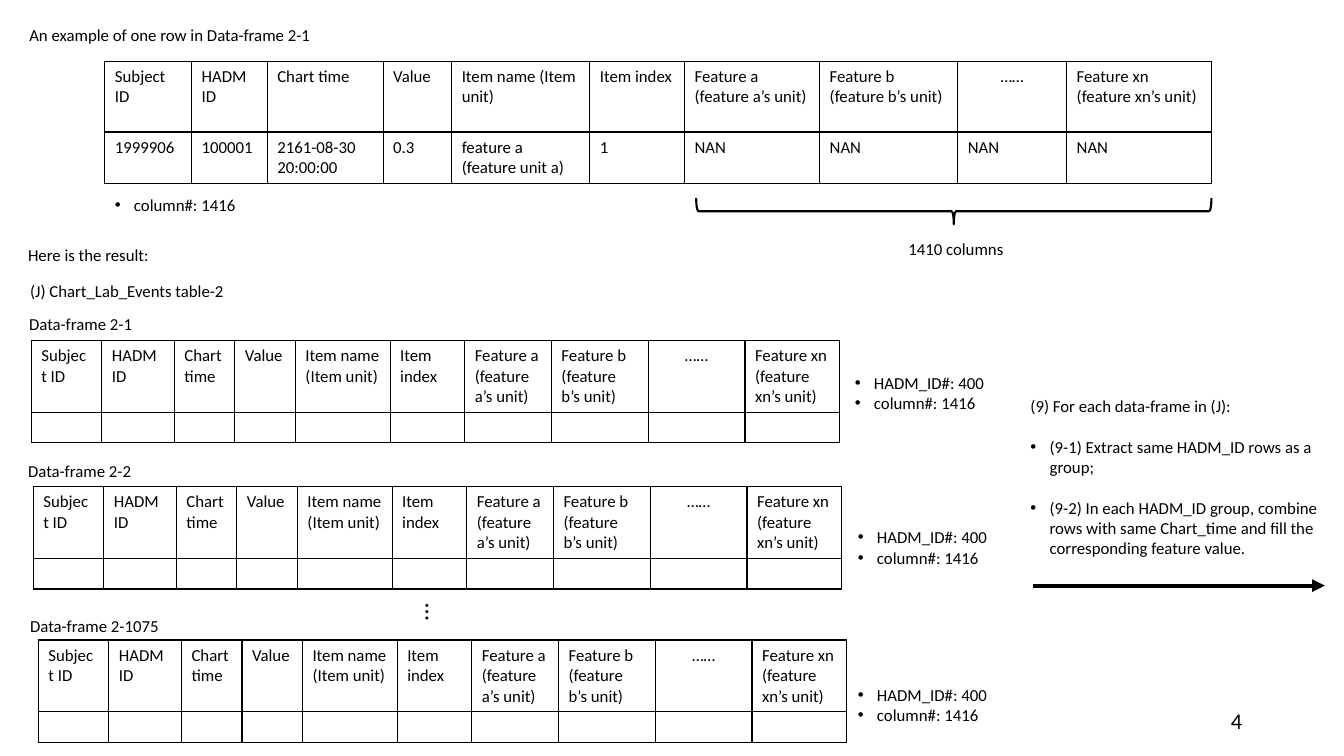
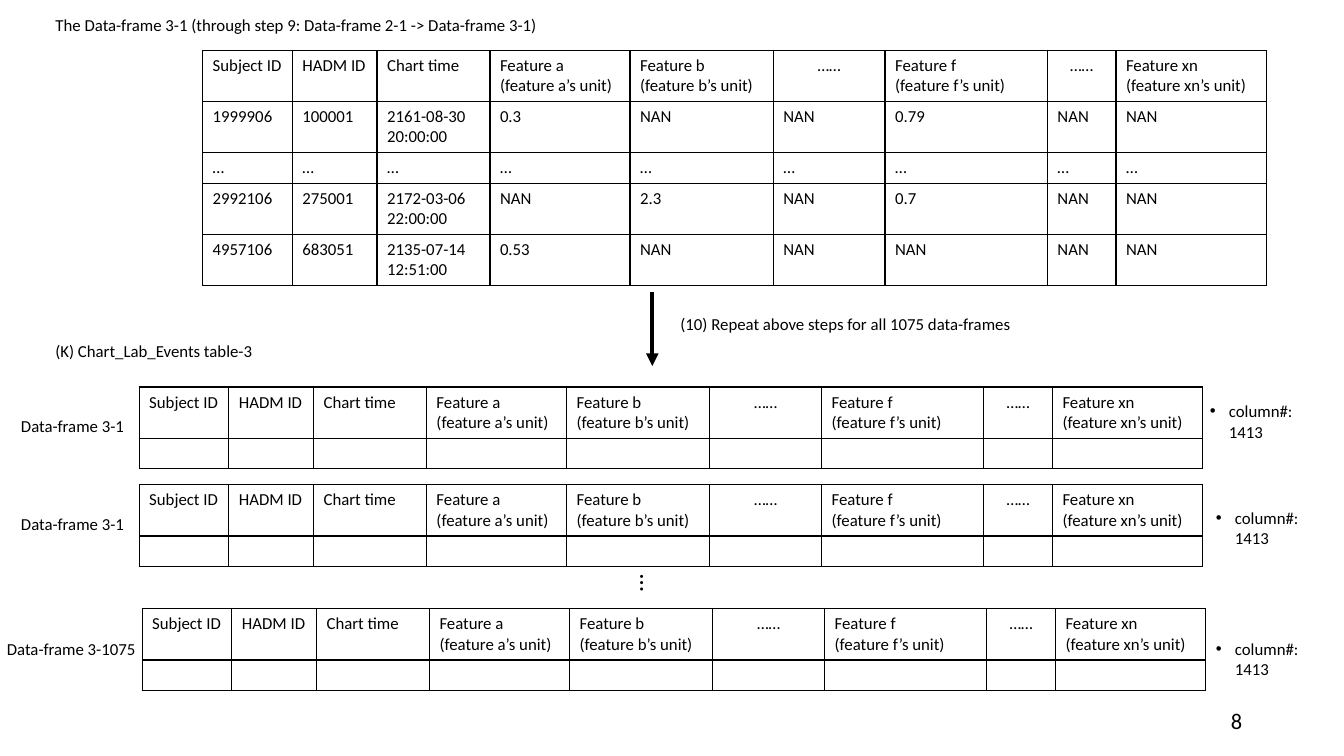
from lxml import etree
from pptx import Presentation
from pptx.dml.color import RGBColor
from pptx.enum.shapes import MSO_CONNECTOR, MSO_SHAPE
from pptx.enum.text import MSO_ANCHOR, MSO_AUTO_SIZE, PP_ALIGN
from pptx.oxml.ns import qn
from pptx.util import Inches, Pt

LEFT, CENTER, RIGHT = PP_ALIGN.LEFT, PP_ALIGN.CENTER, PP_ALIGN.RIGHT
TOP, MIDDLE = MSO_ANCHOR.TOP, MSO_ANCHOR.MIDDLE
NO_AUTOFIT = MSO_AUTO_SIZE.NONE
STRAIGHT = MSO_CONNECTOR.STRAIGHT
LEFT_BRACE = MSO_SHAPE.LEFT_BRACE

COLORS = {"ink": "000000"}
INK = RGBColor.from_string(COLORS["ink"])
FONT = "Calibri"
BODY_SIZE, NUMBER_SIZE, DOTS_SIZE = 12, 16, 18
BULLET = "• "
BULLET_INDENT = Inches(0.19)
BORDER_WIDTH = Pt(1)

# The slide is a grid of square cells, 75 rows high; all lengths count cells.
SLIDE_WIDTH, SLIDE_HEIGHT = Inches(13.33), Inches(7.5)
CELL = SLIDE_HEIGHT / 75
LINE_BOX, TWO_LINE_BOX = 3, 5
ROW_HEIGHTS = {1: 3, 2: 5, 3: 7}  # lines of text in a table row: height

presentation = Presentation()
presentation.slide_width, presentation.slide_height = SLIDE_WIDTH, SLIDE_HEIGHT


def write_text(shape, box, text, size=BODY_SIZE, align=LEFT, gap=0):
    """Place a shape on the grid and fill it; lines that open with a bullet become list items."""
    shape.left, shape.top, shape.width, shape.height = (int(n * CELL) for n in box)
    frame = shape.text_frame
    frame.word_wrap = True
    frame.auto_size = NO_AUTOFIT
    frame.vertical_anchor = TOP
    frame.text = text
    for number, paragraph in enumerate(frame.paragraphs):
        paragraph.alignment = align
        paragraph.space_before = Pt(gap if number else 0)
        listed = paragraph.text.startswith(BULLET)
        paragraph.text = paragraph.text.removeprefix(BULLET)
        properties = paragraph._p.get_or_add_pPr()
        indent = BULLET_INDENT if listed else 0
        properties.set("marL", str(indent))
        properties.set("indent", str(-indent))
        if listed:
            etree.SubElement(properties, qn("a:buFont"), typeface="Arial")
            etree.SubElement(properties, qn("a:buChar"), char=BULLET.strip())
        else:
            etree.SubElement(properties, qn("a:buNone"))
        for run in paragraph.runs:
            run.font.name, run.font.size, run.font.color.rgb = FONT, Pt(size), INK


def add_ruled_table(slide, left, top, columns, line_counts, rows):
    """Add a table with thin ruled cells; line_counts gives the text lines of each row."""
    heights = [ROW_HEIGHTS[count] for count in line_counts]
    table = slide.shapes.add_table(
        len(rows), len(columns), int(left * CELL), int(top * CELL),
        int(sum(columns) * CELL), int(sum(heights) * CELL)).table
    table.first_row = table.horz_banding = False
    for column, width in zip(table.columns, columns):
        column.width = int(width * CELL)
    for row, height, texts in zip(table.rows, heights, rows):
        row.height = int(height * CELL)
        for cell, text in zip(row.cells, texts):
            cell.text = text
            cell.fill.background()
            for paragraph in cell.text_frame.paragraphs:
                paragraph.alignment = CENTER if text == "……" else LEFT
                for run in paragraph.runs:
                    run.font.name, run.font.size, run.font.color.rgb = FONT, Pt(BODY_SIZE), INK
                if not text:
                    etree.SubElement(paragraph._p, qn("a:endParaRPr"), sz=str(BODY_SIZE * 100))
            properties = cell._tc.get_or_add_tcPr()
            for position, side in enumerate(("lnL", "lnR", "lnT", "lnB")):
                border = etree.Element(qn(f"a:{side}"), w=str(BORDER_WIDTH))
                fill = etree.SubElement(border, qn("a:solidFill"))
                etree.SubElement(fill, qn("a:srgbClr"), val=COLORS["ink"])
                properties.insert(position, border)


# Slide 4: the row example and the frames of table-2
events_slide = presentation.slides.add_slide(presentation.slide_layouts[1])
write_text(events_slide.shapes.title, (1.9, 2, 60.2, LINE_BOX),
           "An example of one row in Data-frame 2-1")
write_text(events_slide.placeholders[1], (101.2, 38.8, 31.5, 17.2),
           "(9) For each data-frame in (J):\n"
           "• (9-1) Extract same HADM_ID rows as a group;\n"
           "• (9-2) In each HADM_ID group, combine rows with same Chart_time "
           "and fill the corresponding feature value.", gap=14.6)

event_header = ["Subject ID", "HADM ID", "Chart time", "Value", "Item name (Item unit)",
                "Item index", "Feature a\n(feature a’s unit)", "Feature b\n(feature b’s unit)",
                "……", "Feature xn\n(feature xn’s unit)"]
example_row = ["1999906", "100001", "2161-08-30 20:00:00", "0.3",
               "feature a (feature unit a)", "1"] + ["NAN"] * 4
add_ruled_table(events_slide, 10.4, 6.1,
                [8.6, 7.5, 11.5, 6.8, 13.7, 9.4, 13.4, 13.7, 10.8, 14.4],
                [3, 2], [event_header, example_row])

event_columns = [7, 7.2, 6, 6, 9.4, 7.4, 8.6, 9.6, 9.6, 9.4]
event_frames = [  # name, name corner, table corner, note corner
    ("Data-frame 2-1", (1.9, 30.6), (3.1, 33.8), (83.8, 36.5)),
    ("Data-frame 2-2", (1.8, 45.2), (3.3, 48.3), (84.1, 51.8)),
    ("Data-frame 2-1075", (2, 60.6), (3.8, 63.5), (84.1, 67.4)),
]
event_texts = [
    ("(J) Chart_Lab_Events table-2", (2, 27.4, 22.5, LINE_BOX)),
    ("Here is the result:", (1.8, 23.8, 19, LINE_BOX)),
    ("1410 columns", (89.1, 23.2, 17.8, LINE_BOX)),
    ("• column#: 1416", (10.4, 18.8, 17.8, LINE_BOX)),
]
for name, name_corner, table_corner, note_corner in event_frames:
    add_ruled_table(events_slide, *table_corner, event_columns, [3, 1],
                    [event_header, [""] * len(event_columns)])
    event_texts += [(name, (*name_corner, 22.5, LINE_BOX)),
                    ("• HADM_ID#: 400\n• column#: 1416", (*note_corner, 15.7, TWO_LINE_BOX))]

brace = events_slide.shapes.add_shape(
    LEFT_BRACE, *(int(n * CELL) for n in (93.3, -4.6, 2.6, 51.1)))
brace.rotation = 270
brace.shadow.inherit = False
brace.fill.background()
brace.line.color.rgb, brace.line.width = INK, Pt(1.5)

# Slide 8: the combined frame and the frames of table-3
combined_slide = presentation.slides.add_slide(presentation.slide_layouts[5])
write_text(combined_slide.shapes.title, (4.5, 1, 60.2, LINE_BOX),
           "The Data-frame 3-1 (through step 9: Data-frame 2-1 -> Data-frame 3-1)")

combined_header = ["Subject ID", "HADM ID", "Chart time", "Feature a\n(feature a’s unit)",
                   "Feature b\n(feature b’s unit)", "……", "Feature f\n(feature f’s unit)",
                   "……", "Feature xn\n(feature xn’s unit)"]
combined_columns = [8.9, 8.4, 11.2, 13.9, 14.2, 11.1, 16.1, 6.8, 14.9]
combined_rows = [
    ["1999906", "100001", "2161-08-30 20:00:00", "0.3", "NAN", "NAN", "0.79", "NAN", "NAN"],
    ["…"] * len(combined_columns),
    ["2992106", "275001", "2172-03-06 22:00:00", "NAN", "2.3", "NAN", "0.7", "NAN", "NAN"],
    ["4957106", "683051", "2135-07-14 12:51:00", "0.53"] + ["NAN"] * 5,
]
add_ruled_table(combined_slide, 20.1, 5, combined_columns, [2, 2, 1, 2, 2],
                [combined_header] + combined_rows)

combined_frames = [  # name, name box, table corner, note corner
    ("Data-frame 3-1", (1.1, 40.8, 12.7, LINE_BOX), (13.8, 38.4), (119, 39.3)),
    ("Data-frame 3-1", (1.1, 50.5, 12.7, LINE_BOX), (13.8, 48.1), (119.6, 49.9)),
    ("Data-frame 3-1075", (-0.3, 62.9, 15, LINE_BOX), (14.1, 60.4), (119.6, 62.9)),
]
combined_texts = [
    ("(10) Repeat above steps for all 1075 data-frames", (66.5, 30.6, 56.1, LINE_BOX)),
    ("(K) Chart_Lab_Events table-3", (4.5, 33.3, 22.5, LINE_BOX)),
]
for name, name_box, table_corner, note_corner in combined_frames:
    add_ruled_table(combined_slide, *table_corner, combined_columns, [2, 1],
                    [combined_header, [""] * len(combined_columns)])
    combined_texts += [(name, name_box),
                       ("• column#: 1413", (*note_corner, 13.8, TWO_LINE_BOX))]

# Parts that both slides have: labels, dots, arrow and page number
slide_parts = [
    (events_slide, event_texts, (40.3, 59.8), (102.5, 58.1, 131.4, 58.1), "4"),
    (combined_slide, combined_texts, (61.6, 56.9), (64.7, 29, 64.7, 36.3), "8"),
]
for slide, texts, dots_corner, arrow_ends, page in slide_parts:
    for text, box in texts:
        write_text(slide.shapes.add_textbox(0, 0, 0, 0), box, text)

    dots = slide.shapes.add_textbox(0, 0, 0, 0)
    write_text(dots, (*dots_corner, 5.8, 4), "…", DOTS_SIZE)
    dots.rotation = 90

    arrow = slide.shapes.add_connector(STRAIGHT, *(int(n * CELL) for n in arrow_ends))
    arrow.line.color.rgb, arrow.line.width = INK, Pt(3)
    etree.SubElement(arrow.line._get_or_add_ln(), qn("a:tailEnd"), type="triangle")
    etree.SubElement(arrow._element.spPr, qn("a:effectLst"))

    page_number = slide.shapes.add_textbox(0, 0, 0, 0)
    write_text(page_number, (94.2, 69.5, 30, 4), page, NUMBER_SIZE, RIGHT)
    page_number.text_frame.vertical_anchor = MIDDLE

presentation.save("out.pptx")
